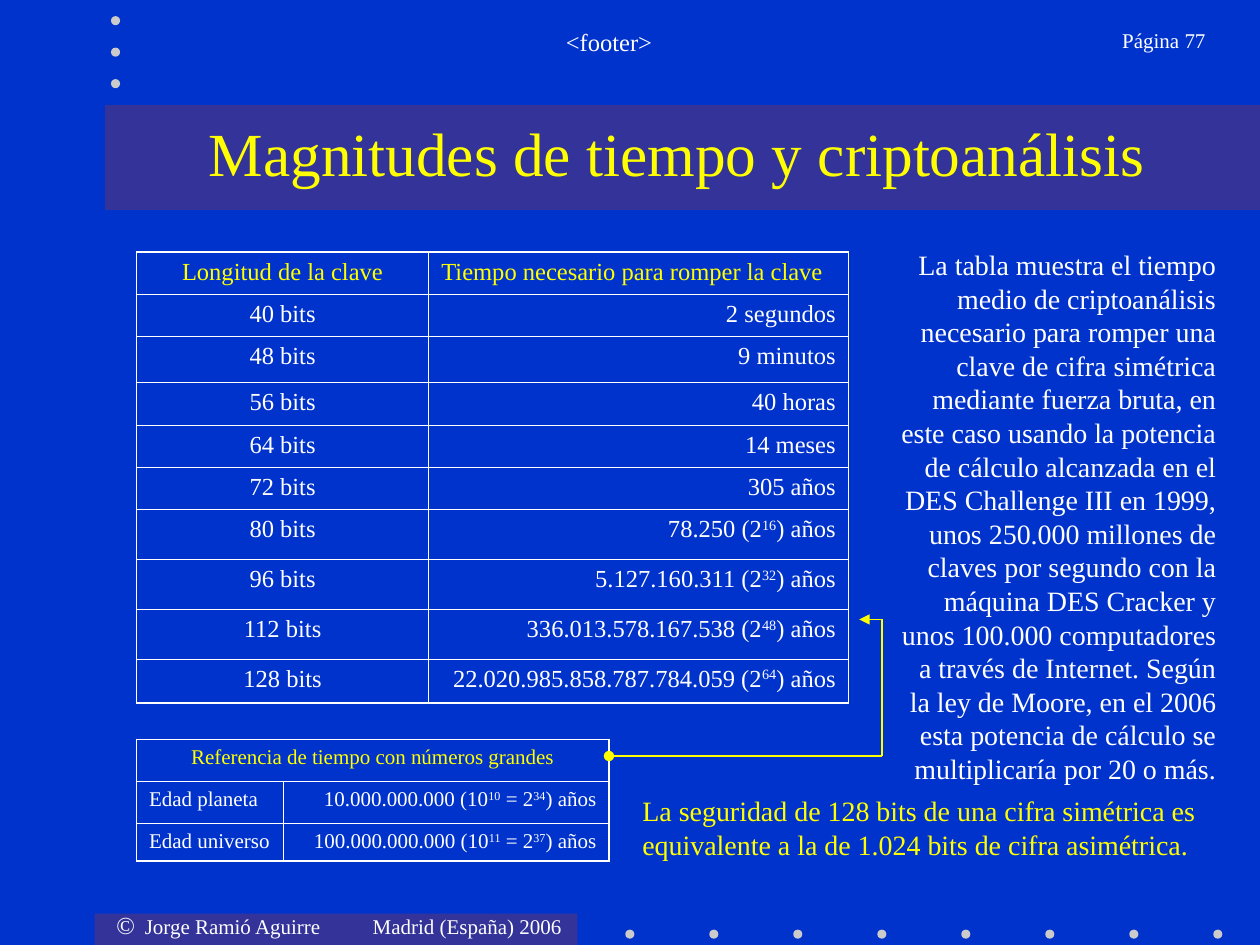
from lxml import etree
from pptx import Presentation
from pptx.dml.color import RGBColor
from pptx.enum.shapes import MSO_CONNECTOR, MSO_SHAPE
from pptx.enum.text import MSO_ANCHOR, PP_ALIGN
from pptx.oxml.ns import qn
from pptx.util import Pt

LEFT, CENTER, RIGHT = PP_ALIGN.LEFT, PP_ALIGN.CENTER, PP_ALIGN.RIGHT
TOP, MIDDLE = MSO_ANCHOR.TOP, MSO_ANCHOR.MIDDLE
RECTANGLE, OVAL = MSO_SHAPE.RECTANGLE, MSO_SHAPE.OVAL
STRAIGHT = MSO_CONNECTOR.STRAIGHT


def rgb(value):
    return RGBColor.from_string(value)


class SlideBuilder:
    font = "Times New Roman"
    background = "0033CC"
    band = "333399"
    dot = "CBCBCB"
    body = "FFFFFF"
    accent = "FFFF00"
    outer_width, inner_width = 1.08, 0.45

    def __init__(self, slide):
        self.slide = slide
        fill = slide.background.fill
        fill.solid()
        fill.fore_color.rgb = rgb(self.background)

    def shape(self, kind, left, top, width, height, color):
        item = self.slide.shapes.add_shape(kind, Pt(left), Pt(top), Pt(width), Pt(height))
        item.shadow.inherit = False
        item.fill.solid()
        item.fill.fore_color.rgb = rgb(color)
        item.line.fill.background()

    def add_runs(self, paragraph, content, size, color, align):
        paragraph.alignment = align
        for index, part in enumerate(content.split("^")):
            run = paragraph.add_run()
            run.text = part
            run.font.size = Pt(size)
            run.font.name = self.font
            run.font.color.rgb = rgb(color)
            if index % 2:
                run._r.get_or_add_rPr().set("baseline", "30000")

    def text(self, left, top, width, height, content, size, color=body,
             align=LEFT, anchor=TOP, insets=(7.2, 3.6, 7.2, 3.6), tabs=()):
        box = self.slide.shapes.add_textbox(Pt(left), Pt(top), Pt(width), Pt(height))
        frame = box.text_frame
        frame.word_wrap = True
        frame.vertical_anchor = anchor
        frame.margin_left, frame.margin_top, frame.margin_right, frame.margin_bottom = map(Pt, insets)
        paragraph = frame.paragraphs[0]
        if tabs:
            stops = etree.SubElement(paragraph._p.get_or_add_pPr(), qn("a:tabLst"))
            for position in tabs:
                etree.SubElement(stops, qn("a:tab"), pos=str(Pt(position)), algn="l")
        self.add_runs(paragraph, content, size, color, align)
        return paragraph

    def border(self, cell, side, width):
        edge = etree.SubElement(cell._tc.get_or_add_tcPr(), qn(f"a:ln{side}"), w=str(Pt(width)))
        fill = etree.SubElement(edge, qn("a:solidFill"))
        etree.SubElement(fill, qn("a:srgbClr"), val=self.body)

    def table(self, left, top, widths, heights, rows, size, aligns, header_aligns):
        frame = self.slide.shapes.add_table(
            len(rows), len(widths), Pt(left), Pt(top), Pt(sum(widths)), Pt(sum(heights)))
        table = frame.table
        table.first_row = table.horz_banding = False
        for column, width in zip(table.columns, widths):
            column.width = Pt(width)
        for row, height in zip(table.rows, heights):
            row.height = Pt(height)
        for r, values in enumerate(rows):
            if len(values) < len(widths):
                table.cell(r, 0).merge(table.cell(r, len(widths) - 1))
            for c, value in enumerate(values):
                cell = table.cell(r, c)
                last_column = c == len(values) - 1
                outer = {"L": c == 0, "R": last_column, "T": r == 0, "B": r == len(rows) - 1}
                for side, is_outer in outer.items():
                    self.border(cell, side, self.outer_width if is_outer else self.inner_width)
                cell.fill.background()
                color, align = (self.body, aligns[c]) if r else (self.accent, header_aligns[c])
                self.add_runs(cell.text_frame.paragraphs[0], value, size, color, align)

    def line(self, start, end, **ends):
        connector = self.slide.shapes.add_connector(STRAIGHT, *map(Pt, start + end))
        connector.line.color.rgb = rgb(self.accent)
        connector.line.width = Pt(0.75)
        properties = connector._element.spPr
        for name, kind in ends.items():
            etree.SubElement(properties.find(qn("a:ln")), qn(f"a:{name}"), type=kind)
        etree.SubElement(properties, qn("a:effectLst"))


def main():
    deck = Presentation()
    deck.slide_width, deck.slide_height = Pt(720), Pt(540)
    page = SlideBuilder(deck.slides.add_slide(deck.slide_layouts[6]))

    page.shape(RECTANGLE, 54, 522, 276, 18, page.band)
    page.shape(RECTANGLE, 60, 60, 660, 60, page.band)
    bottom_dots = [(357.3 + 48 * i, 531.2) for i in range(8)]
    side_dots = [(63.4, 9.2 + 18 * i) for i in range(3)]
    for x, y in bottom_dots + side_dots:
        page.shape(OVAL, x, y, 5.2, 5.2, page.dot)

    credit = page.text(52, 516.5, 277, 24, "©", 14, insets=(14.6, 3.6, 0, 3.6), tabs=(16.2, 146.4))
    page.add_runs(credit, "\tJorge Ramió Aguirre\tMadrid (España) 2006", 12, page.body, LEFT)
    page.text(114, 12, 468, 36, "<footer>", 14, align=CENTER)
    page.text(597.6, 12, 98.4, 36, "Página 77", 12, align=RIGHT)
    page.text(66, 60, 642, 54, "Magnitudes de tiempo y criptoanálisis", 35, page.accent, CENTER, MIDDLE)

    breaking_times = [
        ("Longitud de la clave", "Tiempo necesario para romper la clave"),
        ("40 bits", "2 segundos"),
        ("48 bits", "9 minutos"),
        ("56 bits", "40 horas"),
        ("64 bits", "14 meses"),
        ("72 bits", "305 años"),
        ("80 bits", "78.250 (2^16^) años"),
        ("96 bits", "5.127.160.311 (2^32^) años"),
        ("112 bits", "336.013.578.167.538 (2^48^) años"),
        ("128 bits", "22.020.985.858.787.784.059 (2^64^) años"),
    ]
    page.table(78, 144, (167, 239.8), (24.2, 24.2, 26, 24.5, 24.2, 24.2, 28.5, 28.5, 28.5, 25),
               breaking_times, 14, (CENTER, RIGHT), (CENTER, LEFT))

    reference_ages = [
        ("Referencia de tiempo con números grandes",),
        ("Edad planeta", "10.000.000.000 (10^10^ = 2^34^) años"),
        ("Edad universo", "100.000.000.000 (10^11^ = 2^37^) años"),
    ]
    page.table(78, 422.5, (84, 186), (24, 24, 21.5), reference_ages, 12, (LEFT, RIGHT), (CENTER,))

    page.text(504, 138, 198, 315,
              "La tabla muestra el tiempo medio de criptoanálisis necesario para romper una clave "
              "de cifra simétrica mediante fuerza bruta, en este caso usando la potencia de cálculo "
              "alcanzada en el DES Challenge III en 1999, unos 250.000 millones de claves por segundo "
              "con la máquina DES Cracker y unos 100.000 computadores a través de Internet. Según la "
              "ley de Moore, en el 2006 esta potencia de cálculo se multiplicaría por 20 o más.",
              16, align=RIGHT)
    page.line((348, 432), (504, 432), headEnd="oval")
    page.line((504, 432), (504, 354))
    page.line((504, 354), (491, 354), tailEnd="triangle")
    page.text(360, 450, 336, 42,
              "La seguridad de 128 bits de una cifra simétrica es equivalente a la de 1.024 bits "
              "de cifra asimétrica.", 16, page.accent, insets=(7.2, 3.6, 7.2, 0))

    deck.save("out.pptx")


if __name__ == "__main__":
    main()
